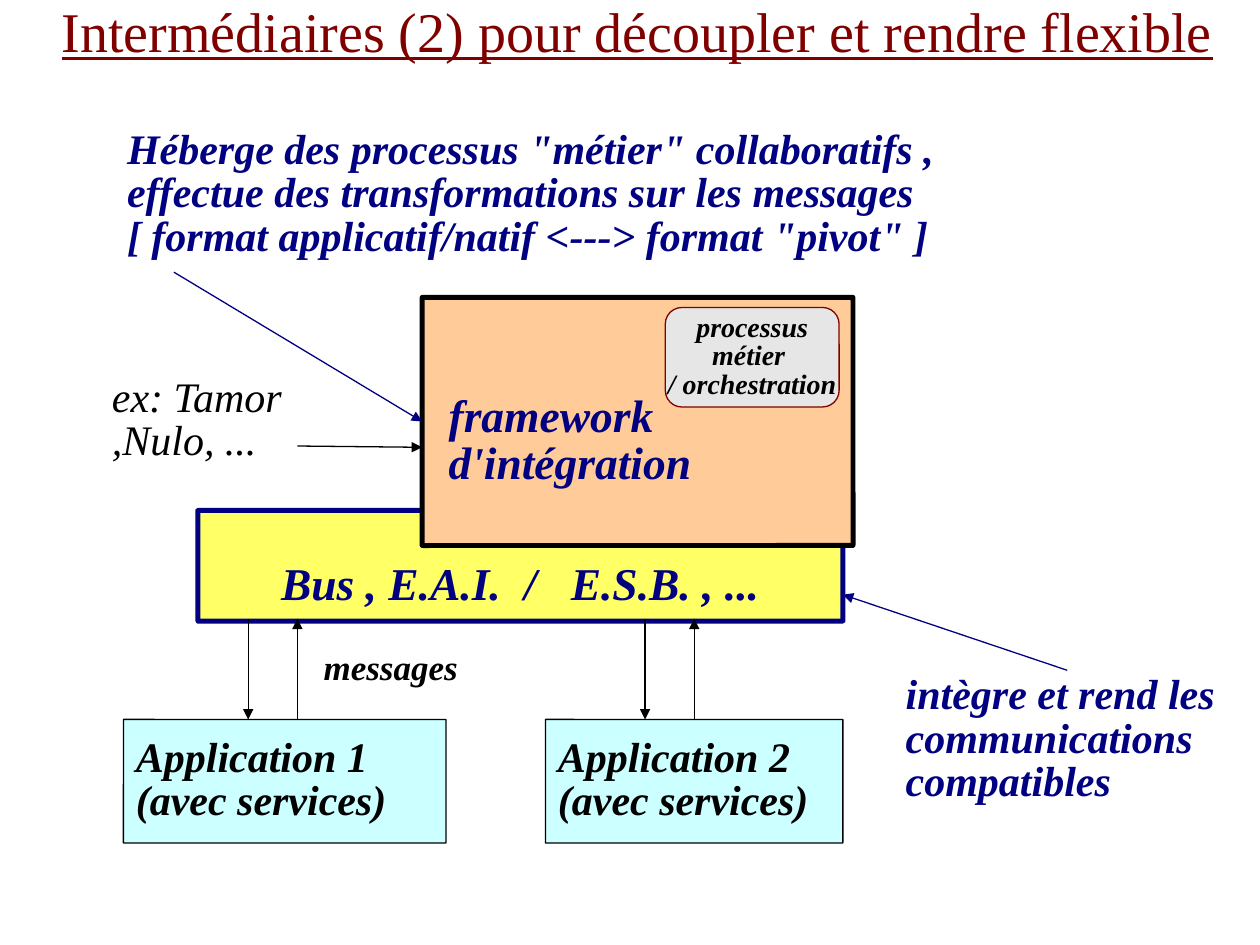
from dataclasses import dataclass

from lxml import etree
from pptx import Presentation
from pptx.dml.color import RGBColor
from pptx.enum import shapes, text
from pptx.oxml import ns
from pptx.util import Inches, Pt


@dataclass(frozen=True)
class Theme:
    font: str = "Times New Roman"
    maroon: str = "800000"
    navy: str = "000080"
    black: str = "000000"
    cyan: str = "CCFFFF"
    yellow: str = "FFFF66"
    peach: str = "FFCC99"
    grey: str = "E6E6E6"
    title: int = 32
    block: int = 26
    body: int = 24
    label: int = 20
    small: int = 16
    spacing: float = 0.86
    thin: float = 0.75
    thick: float = 2.83


THEME = Theme()
LEFT_SIDE, TOP_SIDE = 1, 0


def write(shape, lines, size=THEME.body, color=THEME.black, bold=True, italic=True,
          underline=False, align=text.PP_ALIGN.LEFT, anchor=text.MSO_ANCHOR.TOP,
          wrap=True, insets=(0.1, 0.05, 0.1, 0.05), tabs=()):
    """Fill a shape with one paragraph per line."""
    frame = shape.text_frame
    frame.word_wrap = wrap
    frame.vertical_anchor = anchor
    frame.margin_left, frame.margin_top, frame.margin_right, frame.margin_bottom = map(Inches, insets)
    for index, line in enumerate(lines):
        para = frame.add_paragraph() if index else frame.paragraphs[0]
        para.alignment = align
        para.line_spacing = THEME.spacing
        if tabs:
            stops = etree.SubElement(para._p.get_or_add_pPr(), ns.qn("a:tabLst"))
            for stop in tabs:
                etree.SubElement(stops, ns.qn("a:tab"), pos=str(Inches(stop)), algn="l")
        span = para.add_run()
        span.text = line
        font = span.font
        font.name, font.size = THEME.font, Pt(size)
        font.bold, font.italic, font.underline = bold, italic, underline
        font.color.rgb = RGBColor.from_string(color)


def add_text(page, box, lines, **style):
    write(page.shapes.add_textbox(*map(Inches, box)), lines, **style)


def add_block(page, box, lines, fill, line=THEME.black, weight=THEME.thin,
              rounding=0.002, **style):
    block = page.shapes.add_shape(shapes.MSO_SHAPE.ROUNDED_RECTANGLE, *map(Inches, box))
    block.adjustments[0] = rounding
    block.shadow.inherit = False
    block.fill.solid()
    block.fill.fore_color.rgb = RGBColor.from_string(fill)
    block.line.color.rgb = RGBColor.from_string(line)
    block.line.width = Pt(weight)
    write(block, lines, anchor=text.MSO_ANCHOR.MIDDLE, **style)
    return block


def add_arrow(page, start, end, color=THEME.black):
    arrow = page.shapes.add_connector(
        shapes.MSO_CONNECTOR.STRAIGHT, *map(Inches, (*start, *end)))
    arrow.line.color.rgb = RGBColor.from_string(color)
    arrow.line.width = Pt(THEME.thin)
    etree.SubElement(arrow.line._get_or_add_ln(), ns.qn("a:tailEnd"), type="triangle")
    etree.SubElement(arrow._element.spPr, ns.qn("a:effectLst"))
    return arrow


def add_title(page, box):
    add_text(page, box, ["Intermédiaires (2) pour découpler et rendre flexible"],
             size=THEME.title, color=THEME.maroon, bold=False, italic=False, underline=True)


def add_bus(page, box):
    left, top, width, height = box
    add_block(page, box, ["Bus , E.A.I.\t/\tE.S.B. , ..."], THEME.yellow,
              line=THEME.navy, weight=THEME.thick, size=THEME.block, color=THEME.navy,
              insets=(0.66, 0.4, 0.12, 0.07), tabs=(1.93, 2.3))
    # Note on the right
    add_arrow(page, (8.47, 5.32), (left + width, 4.72), THEME.navy)
    add_text(page, (7.09, 5.31, 2.76, 1.18),
             ["intègre et rend les communications compatibles"], color=THEME.navy)


def add_framework(page, box):
    left, top, width, height = box
    framework = add_block(page, box, ["framework", "d'intégration"], THEME.peach,
                          weight=THEME.thick, size=THEME.block, color=THEME.navy,
                          insets=(0.21, 0.4, 0.12, 0.07))
    # Hosted business process
    add_block(page, (left + 1.93, top + 0.08, 1.38, 0.79),
              ["processus", "métier ", "/ orchestration"], THEME.grey,
              line=THEME.maroon, rounding=0.167, size=THEME.small,
              align=text.PP_ALIGN.CENTER, wrap=False)
    # Role of the framework
    add_text(page, (0.91, 0.98, 6.62, 1.14),
             ['Héberge des processus "métier" collaboratifs ,',
              "effectue des transformations sur les messages",
              '[ format applicatif/natif <---> format "pivot" ]'],
             color=THEME.navy, wrap=False)
    role_arrow = add_arrow(page, (1.38, 2.16), (left, top + height / 2), THEME.navy)
    role_arrow.end_connect(framework, LEFT_SIDE)
    # Examples
    add_text(page, (0.79, 2.95, 1.57, 0.92), ["ex: Tamor ,Nulo, ..."], bold=False)
    add_arrow(page, (2.36, 3.54), (left, 3.55))


def add_application(page, box, number, up_x, bus_bottom):
    """An application with its pair of message arrows to the bus."""
    left, top, width, height = box
    block = add_block(page, box, [f"Application {number}", "(avec services)"],
                      THEME.cyan, wrap=False)
    down_x = up_x - 0.39
    up_arrow = add_arrow(page, (up_x, top), (up_x, bus_bottom))
    if abs(up_x - left - width / 2) < 0.01:
        up_arrow.begin_connect(block, TOP_SIDE)
    add_arrow(page, (down_x, bus_bottom), (down_x, top))


def main():
    deck = Presentation()
    deck.slide_width, deck.slide_height = Inches(10), Inches(7.5)
    page = deck.slides.add_slide(deck.slide_layouts[6])

    add_title(page, (0.39, 0, 9.56, 0.59))
    add_bus(page, (1.57, 4.05, 5.12, 0.88))
    add_framework(page, (3.35, 2.36, 3.42, 1.97))
    for number, (left, width, up_x) in enumerate([(0.98, 2.56, 2.36), (4.33, 2.36, 5.51)], 1):
        add_application(page, (left, 5.71, width, 0.98), number, up_x, bus_bottom=4.91)
    add_text(page, (2.47, 5.12, 1.27, 0.41), ["messages"], size=THEME.label, wrap=False)

    deck.save("out.pptx")


if __name__ == "__main__":
    main()
